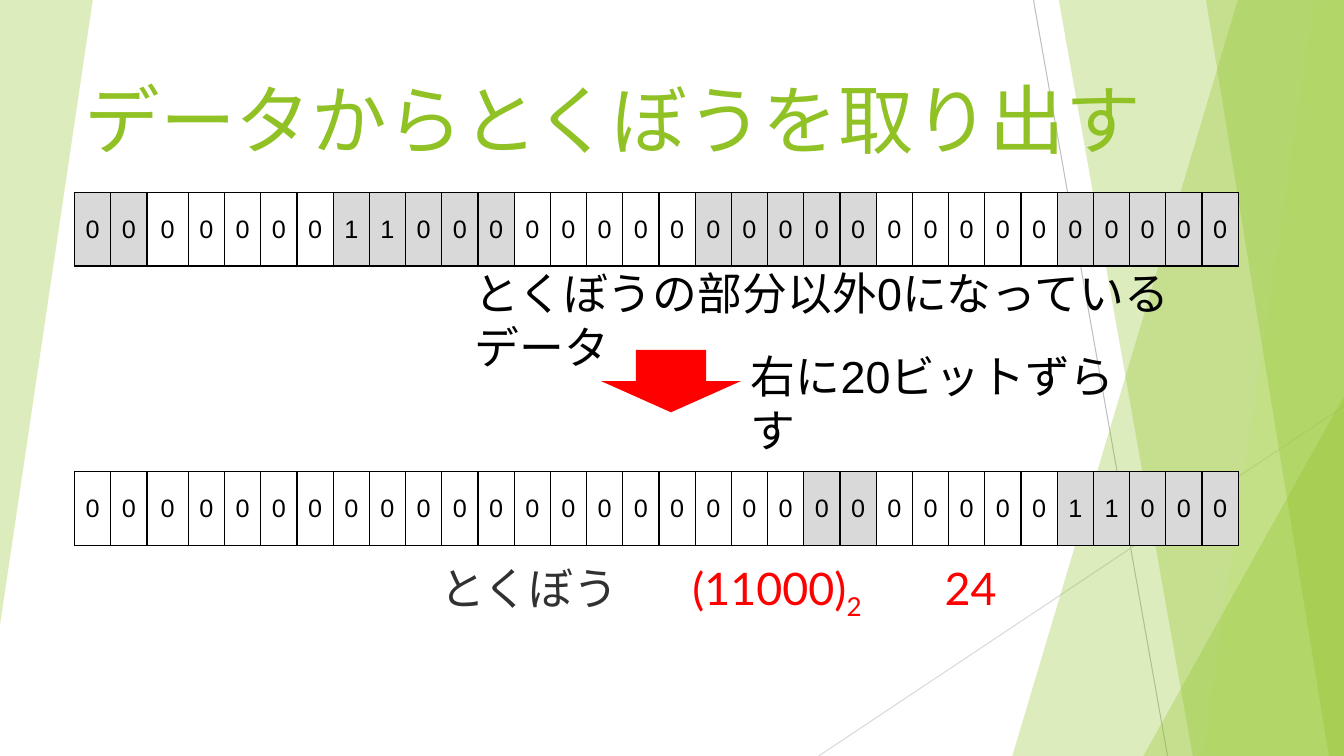
from lxml import etree
from pptx import Presentation
from pptx import util as u
from pptx.dml.color import RGBColor
from pptx.enum import shapes, text
from pptx.oxml import ns

GREEN = RGBColor(0x90, 0xC2, 0x26)
LIME = RGBColor(0xC0, 0xE4, 0x74)
RED = RGBColor(0xFF, 0, 0)
BLACK = RGBColor(0, 0, 0)
CHARCOAL = RGBColor(0x31, 0x31, 0x31)
WHITE = RGBColor(0xFF, 0xFF, 0xFF)
SHADE = RGBColor(0xD9, 0xD9, 0xD9)
GREY = RGBColor(0xBF, 0xBF, 0xBF)


def write(para, words, size=32, font="Arial", color=BLACK, baseline=0):
    span = para.add_run()
    span.text = words
    span.font.size = u.Pt(size)
    span.font.name = font
    span.font.color.rgb = color
    if baseline:
        span._r.get_or_add_rPr().set("baseline", str(baseline * 1000))


def paint(shape, color, opacity=100):
    shape.shadow.inherit = False
    shape.fill.solid()
    shape.fill.fore_color.rgb = color
    shape.line.fill.background()
    if opacity < 100:
        tint = shape.element.spPr.find(ns.qn("a:solidFill"))[0]
        etree.SubElement(tint, ns.qn("a:alpha"), val=str(opacity * 1000))


deck = Presentation()
deck.slide_width, deck.slide_height = u.Inches(13.33), u.Inches(7.5)
page = deck.slides.add_slide(deck.slide_layouts[6])

for ends, color in [((10.25, 0, 11.58, 7.5), GREY), ((13.33, 4.03, 8.12, 7.5), SHADE)]:
    line = page.shapes.add_connector(
        shapes.MSO_CONNECTOR.STRAIGHT, *[u.Inches(end) for end in ends])
    line.line.color.rgb = color
    line.line.width = u.Pt(0.75)
    etree.SubElement(line.element.spPr, ns.qn("a:effectLst"))

for top_left, bottom_right, bottom_left, color in [
    (12.28, 13.33, 10.04, GREEN),
    (10.5, 13.33, 11.83, GREEN),
    (13.03, 13.33, 11.92, LIME),
    (11.96, 13.33, 13.18, GREEN),
]:
    corners = [(top_left, -0.01), (13.33, -0.01), (bottom_right, 7.5), (bottom_left, 7.5)]
    points = [(u.Inches(x), u.Inches(y)) for x, y in corners]
    outline = page.shapes.build_freeform(*points[0])
    outline.add_line_segments(points[1:], close=True)
    paint(outline.convert_to_shape(), color, 30)

for place, turn in [((11.34, 3.93, 1.99, 3.57), 0), ((0, 0, 0.92, 6.2), 180)]:
    wedge = page.shapes.add_shape(
        shapes.MSO_SHAPE.ISOSCELES_TRIANGLE, *[u.Inches(part) for part in place])
    wedge.adjustments[0] = 1
    wedge.rotation = turn
    paint(wedge, GREEN, 30)

for place, words, look in [
    ((0.74, 0.67, 11.81, 0.72), "データからとくぼうを取り出す", {"size": 54, "color": GREEN}),
    ((4.61, 2.59, 7.68, 0.64), "とくぼうの部分以外0になっているデータ", {}),
    ((7.35, 3.41, 3.81, 0.64), "右に20ビットずらす", {}),
    ((4.27, 5.51, 6.16, 0.64), "とくぼう\t", {"font": "Lato", "color": CHARCOAL}),
]:
    box = page.shapes.add_textbox(*[u.Inches(part) for part in place])
    box.text_frame.word_wrap = True
    write(box.text_frame.paragraphs[0], words, **look)

answer = box.text_frame.paragraphs[0]
for words, baseline in [("(11000)", 0), ("2", -25), ("\t24", 0)]:
    write(answer, words, font="Lato", color=RED, baseline=baseline)
stops = etree.SubElement(answer._p.get_or_add_pPr(), ns.qn("a:tabLst"))
for stop in (2.5, 5):
    etree.SubElement(stops, ns.qn("a:tab"), pos=str(u.Inches(stop)), algn="l")

arrow = page.shapes.add_shape(
    shapes.MSO_SHAPE.DOWN_ARROW, u.Inches(5.96), u.Inches(3.47), u.Inches(1.39), u.Inches(0.62))
paint(arrow, RED)

BITS = 32
WIDTH, HEIGHT, WIDE = 11.55, 0.73, 0.41
for top, value, shaded in [
    (4.68, 0b11000, [*range(20, 22), *range(27, 32)]),
    (1.91, 0b11000 << 20, [*range(0, 2), *range(7, 12), *range(17, 22), *range(27, 32)]),
]:
    table = page.shapes.add_table(
        1, BITS, u.Inches(0.74), u.Inches(top), u.Inches(WIDTH), u.Inches(HEIGHT)).table
    table.first_row = table.horz_banding = False
    for index, bit in enumerate(f"{value:0{BITS}b}"):
        table.columns[index].width = u.Inches(WIDE if index == 2 else (WIDTH - WIDE) / (BITS - 1))
        cell = table.cell(0, index)
        cell.margin_left = cell.margin_right = 0
        cell.vertical_anchor = text.MSO_ANCHOR.MIDDLE
        para = cell.text_frame.paragraphs[0]
        para.alignment = text.PP_ALIGN.CENTER
        write(para, bit, size=18)
        borders = cell._tc.get_or_add_tcPr()
        for side in ("lnL", "lnR", "lnT", "lnB"):
            edge = etree.SubElement(borders, ns.qn(f"a:{side}"), w=str(u.Pt(1)))
            ink = etree.SubElement(edge, ns.qn("a:solidFill"))
            etree.SubElement(ink, ns.qn("a:srgbClr"), val=str(BLACK))
        cell.fill.solid()
        cell.fill.fore_color.rgb = SHADE if index in shaded else WHITE

deck.save("out.pptx")
